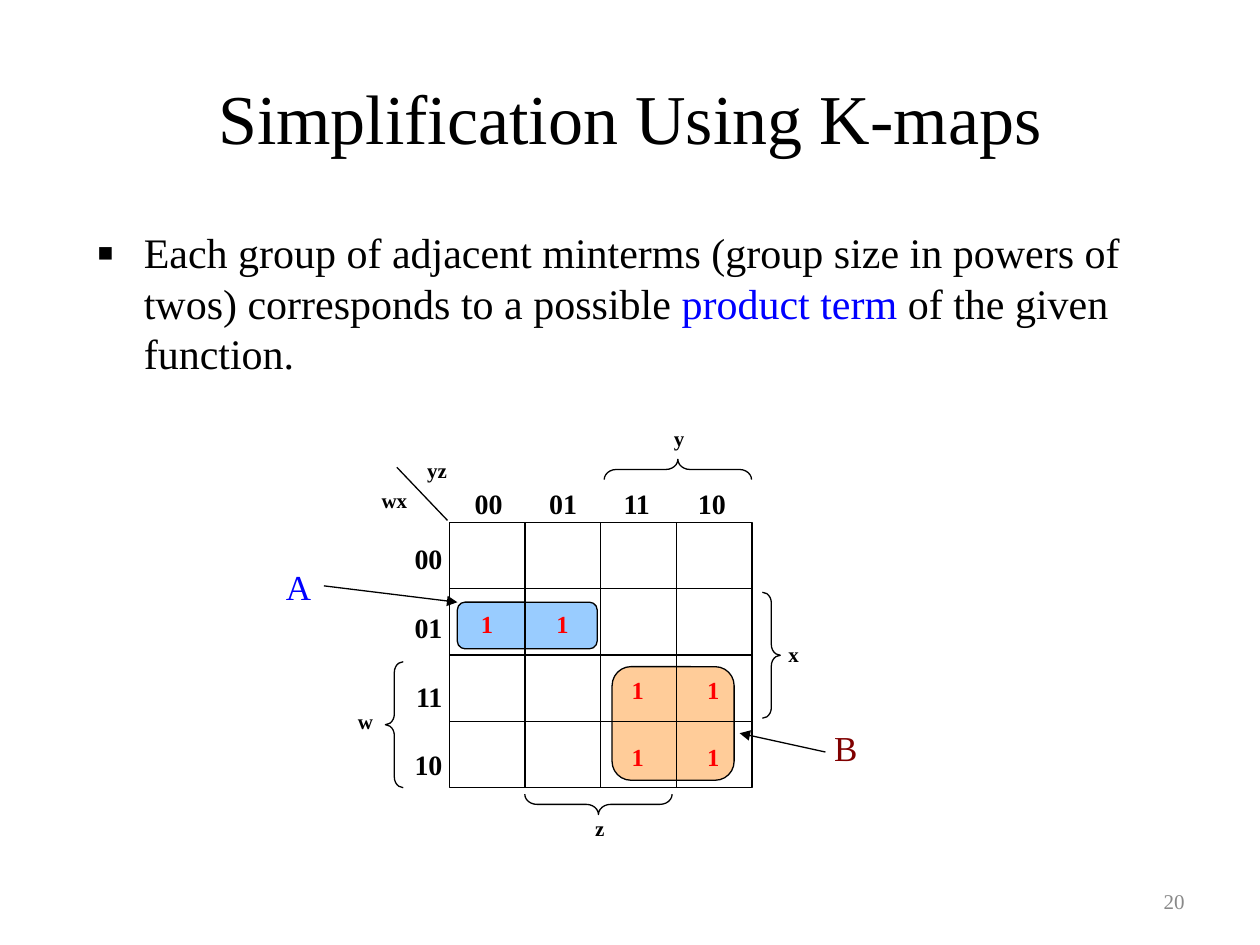
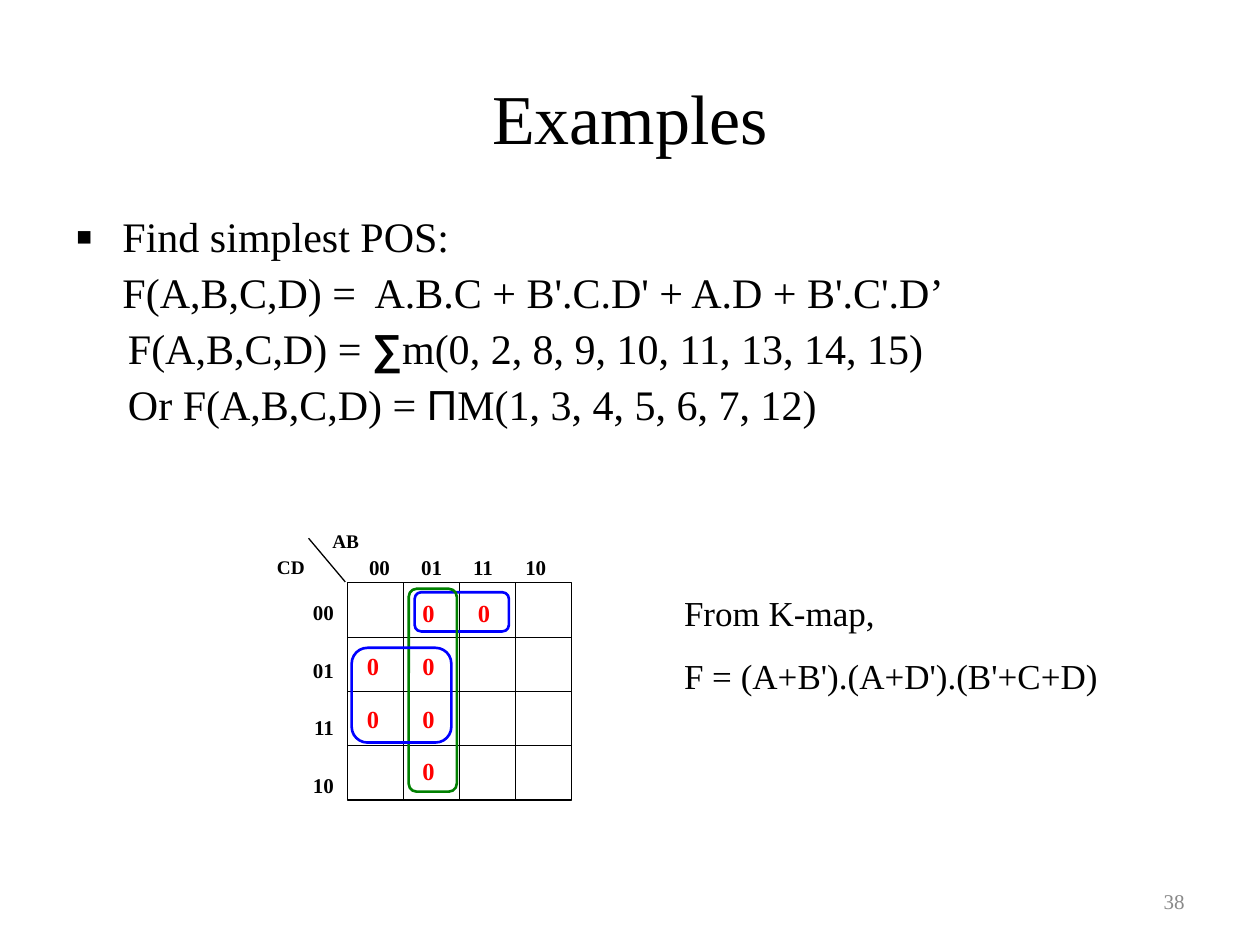
"""Build two slides on simplifying Boolean functions with Karnaugh maps."""
from dataclasses import dataclass

from lxml.etree import SubElement
from pptx import Presentation
from pptx.dml.color import RGBColor
from pptx.enum.shapes import MSO_CONNECTOR as Connector, MSO_SHAPE as Shape
from pptx.enum.text import MSO_ANCHOR as Anchor, PP_ALIGN as Align
from pptx.oxml.ns import qn
from pptx.util import Cm, Pt


@dataclass(frozen=True)
class Theme:
    font: str = "Times New Roman"
    symbol_font: str = "Arial"
    ink: str = "000000"
    grey: str = "898989"
    red: str = "FF0000"
    blue: str = "0000FF"
    green: str = "008000"
    maroon: str = "800000"
    sky: str = "99CCFF"
    peach: str = "FFCC99"
    title: float = 40
    body: float = 24
    note: float = 20
    header: float = 16
    mark: float = 14
    small: float = 12
    tiny: float = 11
    thin: float = 0.75
    thick: float = 1.5


THEME = Theme()
TITLE_BOX = (1.27, 0.76, 22.86, 3.18)
NUMBER_BOX = (18.21, 17.65, 5.92, 1.02)
HANGING = 0.95
CODES = ["00", "01", "11", "10"]

SLIDES = [
    {
        "title": "Simplification Using K-maps",
        "number": "20",
        "body_box": (1.7, 4.45, 22.02, 3.61),
        "body": [[
            ("Each group of adjacent minterms (group size in powers of twos) "
             "corresponds to a possible ", {}),
            ("product term", {"color": THEME.blue}),
            (" of the given function.", {}),
        ]],
        "indents": [HANGING],
        "spacing": 1.0,
        "map": {
            "grid": (9.06, 10.53, 6.1, 5.35),
            "groups_behind": True,
            "groups": [
                (Shape.FLOWCHART_ALTERNATE_PROCESS, (12.34, 13.44, 2.46, 2.29),
                 THEME.peach, THEME.ink, THEME.thin),
                (Shape.FLOWCHART_ALTERNATE_PROCESS, (9.22, 12.14, 2.82, 0.94),
                 THEME.sky, THEME.ink, THEME.thin),
            ],
            "mark": "1",
            "cells": [(1, 0), (1, 1), (2, 2), (2, 3), (3, 2), (3, 3)],
            "mark_offset": (0, 0.28),
            "mark_step": (1.52, 1.34),
            "mark_height": 1.07,
            "columns_box": (9.32, 9.68, 5.69, 1.07),
            "column_step": 1.5,
            "rows_box": (8.05, 10.8, 1.12, 5.56),
            "row_gap": 20,
            "code_size": THEME.header,
            "corner": ((9.02, 10.49), (8.0, 9.42)),
            "label_size": THEME.small,
            "labels": [
                ("wx", (7.29, 9.7, 1.32, 0.97)),
                ("yz", (8.15, 9.09, 1.32, 0.86)),
                ("w", (6.81, 14.15, 1.12, 1.07)),
                ("x", (15.44, 12.8, 1.12, 1.07)),
                ("y", (13.13, 8.46, 1.12, 0.81)),
                ("z", (11.53, 16.31, 1.12, 0.81)),
            ],
        },
        "braces": [
            (Shape.LEFT_BRACE, (7.77, 13.34, 0.36, 2.54), 0),
            (Shape.RIGHT_BRACE, (15.37, 11.94, 0.36, 2.54), 0),
            (Shape.LEFT_BRACE, (13.46, 7.98, 0.41, 2.97), 90),
            (Shape.LEFT_BRACE, (11.86, 14.73, 0.41, 2.97), 270),
        ],
        "callouts": [
            ("A", (5.51, 11.28, 1.02, 1.35), THEME.blue, (6.53, 11.81), (9.22, 12.14)),
            ("B", (16.54, 14.53, 1.02, 1.35), THEME.maroon, (16.64, 15.16), (14.91, 14.78)),
        ],
    },
    {
        "title": "Examples",
        "number": "38",
        "body_box": (1.27, 4.24, 22.23, 4.88),
        "body": [
            "Find simplest POS:",
            "F(A,B,C,D) =  A.B.C + B'.C.D' + A.D + B'.C'.D’",
            [
                ("F(A,B,C,D) = ", {}),
                ("∑", {"font": THEME.symbol_font, "bold": True}),
                ("m(0, 2, 8, 9, 10, 11, 13, 14, 15)", {}),
            ],
            [
                ("Or F(A,B,C,D) = ", {}),
                ("Π", {"font": THEME.symbol_font}),
                ("M(1, 3, 4, 5, 6, 7, 12)", {}),
            ],
        ],
        "indents": [HANGING, HANGING, 1.06, 1.06],
        "spacing": 0.9,
        "map": {
            "grid": (7.0, 11.75, 4.52, 4.38),
            "groups_behind": False,
            "groups": [
                (Shape.ROUNDED_RECTANGLE, (8.36, 11.94, 1.9, 0.79),
                 None, THEME.blue, THEME.thick),
                (Shape.ROUNDED_RECTANGLE, (8.24, 11.87, 0.97, 4.09),
                 None, THEME.green, THEME.thick),
                (Shape.ROUNDED_RECTANGLE, (7.09, 13.06, 2.01, 1.91),
                 None, THEME.blue, THEME.thick),
            ],
            "mark": "0",
            "cells": [(0, 1), (0, 2), (1, 0), (1, 1), (2, 0), (2, 1), (3, 1)],
            "mark_offset": (-0.04, 0.19),
            "mark_step": (1.12, 1.06),
            "mark_height": 0.89,
            "columns_box": (7.19, 11.05, 4.22, 0.89),
            "column_step": 1.05,
            "rows_box": (5.99, 11.96, 0.99, 4.55),
            "row_gap": 18.5,
            "code_size": THEME.small,
            "corner": ((6.96, 11.73), (6.22, 10.85)),
            "label_size": THEME.tiny,
            "labels": [
                ("CD", (5.08, 11.07, 1.57, 0.74)),
                ("AB", (6.32, 10.54, 1.3, 0.74)),
            ],
        },
        "result_box": (13.54, 11.79, 10.59, 2.39),
        "result": ["From K-map,", "F = (A+B').(A+D').(B'+C+D)"],
    },
]


def rgb(color):
    return RGBColor.from_string(color)


def add_bullet(properties):
    color = SubElement(properties, qn("a:buClr"))
    SubElement(color, qn("a:srgbClr"), val=THEME.ink)
    SubElement(properties, qn("a:buSzPct"), val="120000")
    SubElement(properties, qn("a:buFont"), typeface=THEME.font)
    SubElement(properties, qn("a:buChar"), char="▪")


def add_tabs(properties, step, count):
    stops = SubElement(properties, qn("a:tabLst"))
    for index in range(1, count + 1):
        SubElement(stops, qn("a:tab"), pos=str(Cm(step * index)), algn="l")


def add_text(slide, box, paragraphs, *, size, color=THEME.ink, bold=False, align=Align.LEFT,
             anchor=Anchor.TOP, before=0, after=0, spacing=None, indents=(),
             bullet=False, tab_step=None):
    frame = slide.shapes.add_textbox(*map(Cm, box)).text_frame
    frame.word_wrap = True
    frame.vertical_anchor = anchor
    for index, content in enumerate(paragraphs):
        paragraph = frame.add_paragraph() if index else frame.paragraphs[0]
        paragraph.alignment = align
        paragraph.space_before, paragraph.space_after = Pt(before), Pt(after)
        if spacing:
            paragraph.line_spacing = spacing
        runs = [(content, {})] if isinstance(content, str) else content
        for wording, change in runs:
            run = paragraph.add_run()
            run.text = wording
            run.font.size = Pt(size)
            run.font.name = change.get("font", THEME.font)
            run.font.bold = change.get("bold", bold)
            run.font.color.rgb = rgb(change.get("color", color))
        properties = paragraph._p.get_or_add_pPr()
        bulleted = bullet and index == 0
        if indents:
            properties.set("marL", str(Cm(indents[index])))
            properties.set("indent", str(-Cm(indents[index]) if bulleted else 0))
        if bulleted:
            add_bullet(properties)
        if tab_step:
            add_tabs(properties, tab_step, content.count("\t"))


def add_outline(slide, kind, box, fill=None, line=THEME.ink, width=THEME.thin):
    outline = slide.shapes.add_shape(kind, *map(Cm, box))
    outline.shadow.inherit = False
    if fill:
        outline.fill.solid()
        outline.fill.fore_color.rgb = rgb(fill)
    else:
        outline.fill.background()
    outline.line.color.rgb = rgb(line)
    outline.line.width = Pt(width)
    return outline


def add_line(slide, start, end, arrow=False):
    line = slide.shapes.add_connector(Connector.STRAIGHT, *map(Cm, (*start, *end)))
    line.line.color.rgb = rgb(THEME.ink)
    line.line.width = Pt(THEME.thin)
    properties = line.element.spPr
    if arrow:
        SubElement(properties.find(qn("a:ln")), qn("a:tailEnd"), type="triangle")
    SubElement(properties, qn("a:effectLst"))
    return line


def draw_grid(slide, box):
    left, top, width, height = box
    grid = add_outline(slide, Shape.RECTANGLE, box)
    for index in range(1, len(CODES)):
        x = left + width * index / len(CODES)
        y = top + height * index / len(CODES)
        column_rule = add_line(slide, (x, top), (x, top + height))
        row_rule = add_line(slide, (left, y), (left + width, y))
        if index * 2 == len(CODES):
            for rule, first, last in ((column_rule, 0, 2), (row_rule, 1, 3)):
                rule.begin_connect(grid, first)
                rule.end_connect(grid, last)


def draw_groups(slide, groups):
    for group in groups:
        add_outline(slide, *group)


def draw_map(slide, kmap):
    if kmap["groups_behind"]:
        draw_groups(slide, kmap["groups"])
    draw_grid(slide, kmap["grid"])
    left, top = (a + b for a, b in zip(kmap["grid"], kmap["mark_offset"]))
    across, down = kmap["mark_step"]
    for row, column in kmap["cells"]:
        cell = (left + column * across, top + row * down, across, kmap["mark_height"])
        add_text(slide, cell, [kmap["mark"]], size=THEME.mark, color=THEME.red,
                 bold=True, align=Align.CENTER)
    add_text(slide, kmap["columns_box"], ["\t".join(CODES)], size=kmap["code_size"],
             bold=True, tab_step=kmap["column_step"])
    add_text(slide, kmap["rows_box"], CODES, size=kmap["code_size"], bold=True,
             align=Align.RIGHT, after=kmap["row_gap"])
    add_line(slide, *kmap["corner"])
    for variable, box in kmap["labels"]:
        add_text(slide, box, [variable], size=kmap["label_size"], bold=True, align=Align.CENTER)
    if not kmap["groups_behind"]:
        draw_groups(slide, kmap["groups"])


def build_slide(deck, content):
    slide = deck.slides.add_slide(deck.slide_layouts[6])
    add_text(slide, TITLE_BOX, [content["title"]], size=THEME.title,
             align=Align.CENTER, anchor=Anchor.MIDDLE)
    add_text(slide, content["body_box"], content["body"], size=THEME.body, before=6,
             spacing=content["spacing"], indents=content["indents"], bullet=True)
    add_text(slide, NUMBER_BOX, [content["number"]], size=THEME.small, color=THEME.grey,
             align=Align.RIGHT, anchor=Anchor.MIDDLE)
    draw_map(slide, content["map"])
    for kind, box, turn in content.get("braces", []):
        brace = add_outline(slide, kind, box)
        brace.rotation = turn
        brace.adjustments[0] = 0.6
    for name, box, color, start, end in content.get("callouts", []):
        add_text(slide, box, [name], size=THEME.note, color=color, align=Align.CENTER)
        add_line(slide, start, end, arrow=True)
    if "result" in content:
        add_text(slide, content["result_box"], content["result"], size=THEME.note, before=12.5)


def main():
    deck = Presentation()
    deck.slide_width, deck.slide_height = Cm(25.4), Cm(19.05)
    for content in SLIDES:
        build_slide(deck, content)
    deck.save("out.pptx")


if __name__ == "__main__":
    main()
